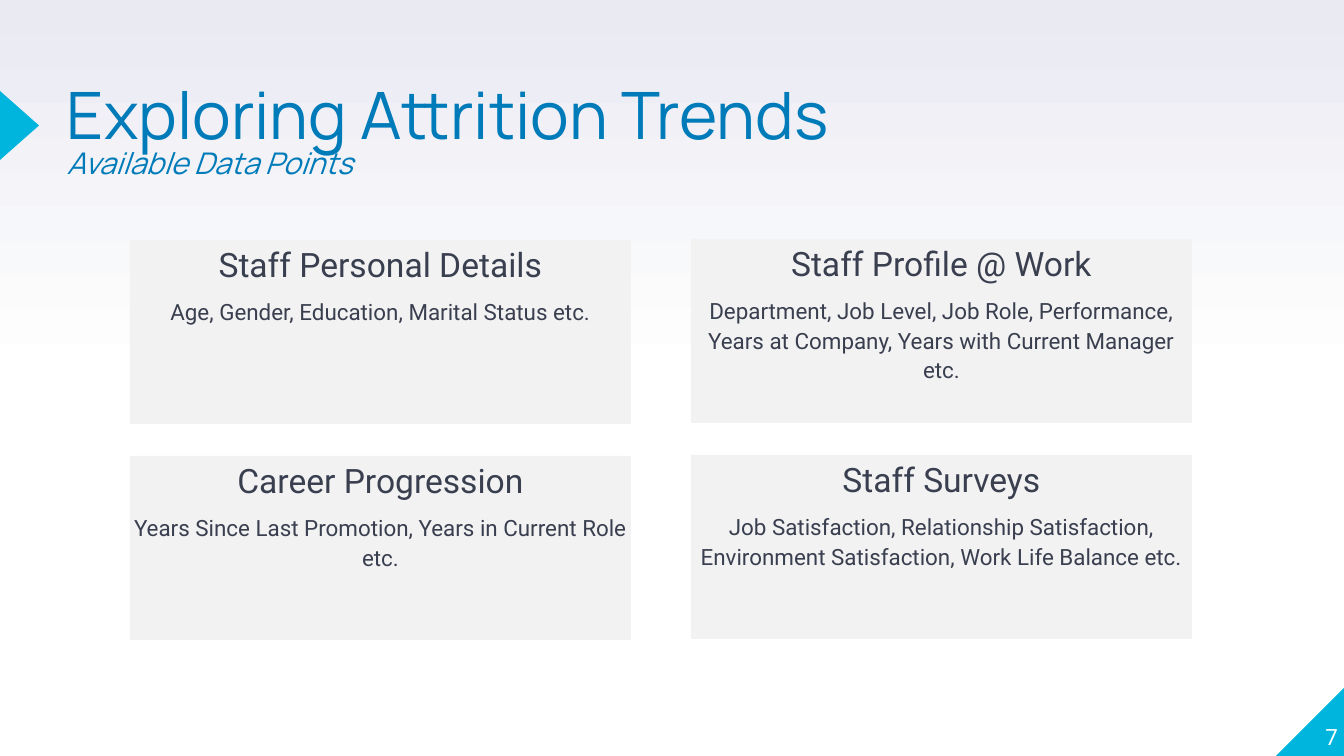
from dataclasses import dataclass

from pptx import Presentation
from pptx.dml.color import RGBColor
from pptx.enum.shapes import MSO_SHAPE as Shape
from pptx.enum.text import MSO_ANCHOR as Anchor, PP_ALIGN as Align
from pptx.util import Emu, Pt

EMU_PER_PX = 914400 / 134.4


@dataclass(frozen=True)
class Theme:
    title_font: str = "Manrope"
    body_font: str = "Roboto"
    title: str = "007BB9"
    text: str = "3A3F50"
    accent: str = "00B5DD"
    card: str = "F2F2F2"
    white: str = "FFFFFF"
    haze: str = "E9EAF2"
    title_size: int = 35
    subtitle_size: int = 16
    heading_size: int = 18
    small_size: int = 12


THEME = Theme()

CARDS = [
    [
        ("Staff Personal Details", "Age, Gender, Education, Marital Status etc."),
        ("Staff Profile @ Work",
         "Department, Job Level, Job Role, Performance, Years at Company, "
         "Years with Current Manager etc."),
    ],
    [
        ("Career Progression", "Years Since Last Promotion, Years in Current Role etc."),
        ("Staff Surveys",
         "Job Satisfaction, Relationship Satisfaction, "
         "Environment Satisfaction, Work Life Balance etc."),
    ],
]
CARD_SIZE = (501, 184)
COLUMN_ORIGINS = [(130, 240), (691, 239)]
ROW_PITCH = 216


def px(value):
    return Emu(round(value * EMU_PER_PX))


def paint_background(slide):
    """Fade from haze at the top to white at mid-height and below."""
    fill = slide.background.fill
    fill.gradient()
    fill.gradient_angle = 90
    lower, upper = fill.gradient_stops
    lower.position, lower.color.rgb = 0.5, RGBColor.from_string(THEME.white)
    upper.position, upper.color.rgb = 1, RGBColor.from_string(THEME.haze)


def add_filled_shape(slide, kind, box, color):
    shape = slide.shapes.add_shape(kind, *map(px, box))
    shape.shadow.inherit = False
    shape.fill.solid()
    shape.fill.fore_color.rgb = RGBColor.from_string(color)
    shape.line.fill.background()
    return shape


def prepare_frame(shape, anchor=Anchor.TOP):
    frame = shape.text_frame
    frame.word_wrap = True
    frame.vertical_anchor = anchor
    frame.margin_left = frame.margin_right = 0
    frame.margin_top = frame.margin_bottom = 0
    return frame


def write(paragraph, text, font, size, color, align=Align.LEFT, spacing=1.0):
    paragraph.text = text
    paragraph.alignment = align
    paragraph.line_spacing = spacing
    paragraph.font.name = font
    paragraph.font.size = Pt(size)
    paragraph.font.color.rgb = RGBColor.from_string(color)


def add_title(slide, title, subtitle):
    frame = prepare_frame(slide.shapes.add_textbox(px(67), px(89), px(1149), px(159)))
    heading, subheading = frame.paragraphs[0], frame.add_paragraph()
    write(heading, title, THEME.title_font, THEME.title_size, THEME.title, spacing=0.8)
    write(subheading, subtitle, THEME.title_font, THEME.subtitle_size, THEME.title,
          spacing=0.8)
    subheading.font.italic = True


def add_card(slide, left, top, heading, details):
    card = add_filled_shape(slide, Shape.RECTANGLE, (left, top, *CARD_SIZE), THEME.card)
    frame = prepare_frame(card)
    lines = [
        (frame.paragraphs[0], heading, THEME.heading_size),
        (frame.add_paragraph(), details, THEME.small_size),
    ]
    for paragraph, text, size in lines:
        write(paragraph, text, THEME.body_font, size, THEME.text, Align.CENTER, 1.1)
        paragraph.space_before = Pt(6)


def add_page_number(slide, number):
    box = slide.shapes.add_textbox(px(1271), px(681), px(67), px(69))
    frame = prepare_frame(box, Anchor.BOTTOM)
    write(frame.paragraphs[0], number, THEME.body_font, THEME.small_size, THEME.white,
          Align.RIGHT)


def main():
    presentation = Presentation()
    presentation.slide_width, presentation.slide_height = px(1344), px(756)
    slide = presentation.slides.add_slide(presentation.slide_layouts[6])
    paint_background(slide)

    corner = add_filled_shape(slide, Shape.RIGHT_TRIANGLE, (1276, 687, 69, 69), THEME.accent)
    corner._element.spPr.xfrm.set("flipH", "1")
    pointer = add_filled_shape(slide, Shape.ISOSCELES_TRIANGLE, (-15, 106, 69, 39),
                               THEME.accent)
    pointer.rotation = 90

    add_title(slide, "Exploring Attrition Trends", "Available Data Points")
    for row, cards in enumerate(CARDS):
        for (left, top), (heading, details) in zip(COLUMN_ORIGINS, cards):
            add_card(slide, left, top + row * ROW_PITCH, heading, details)
    add_page_number(slide, "7")

    presentation.save("out.pptx")


if __name__ == "__main__":
    main()
